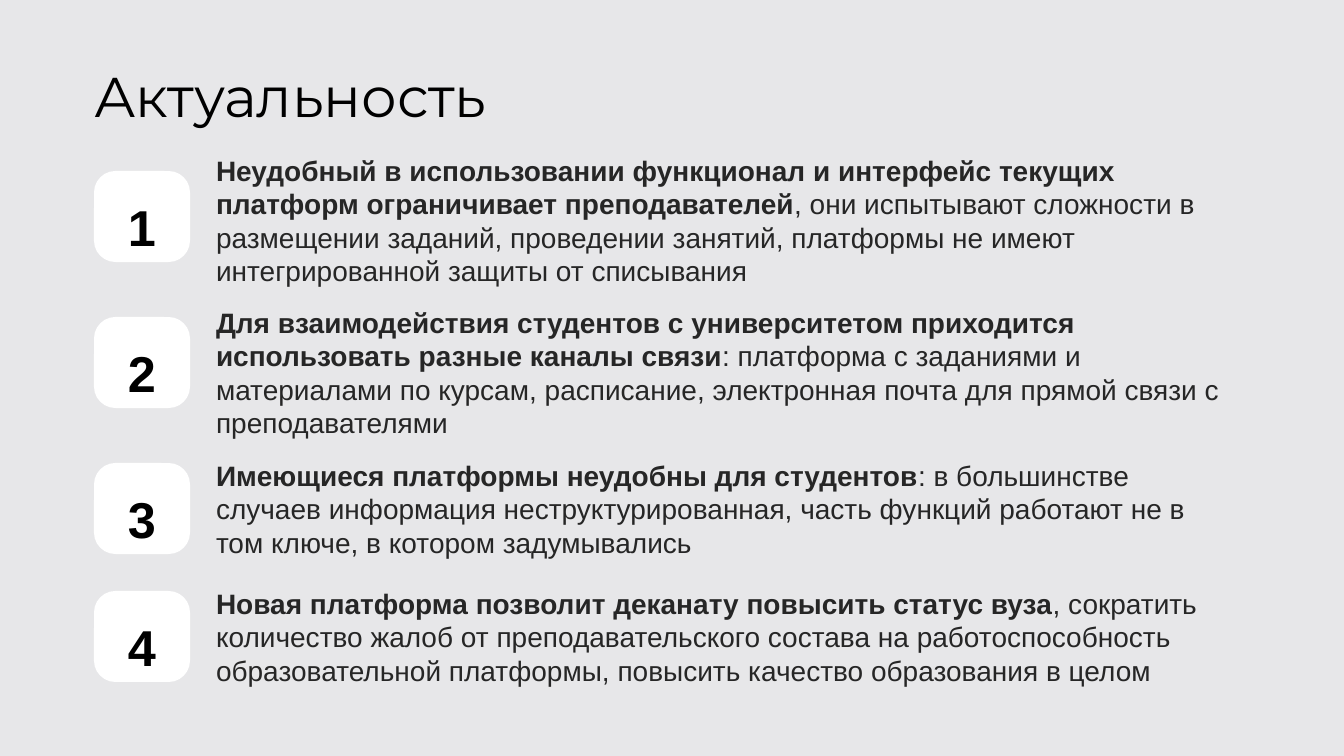
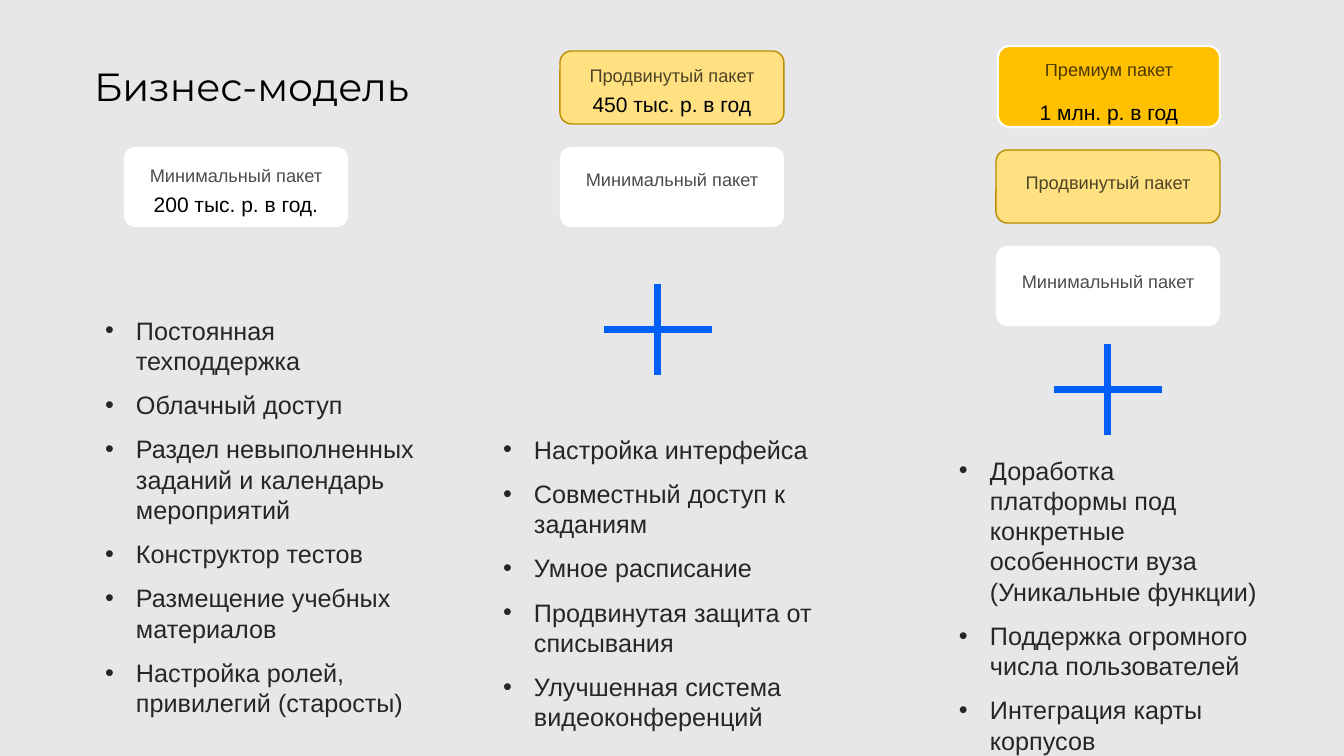
import pptx
import pptx.util
import pptx.dml.color
import pptx.enum.shapes
import pptx.enum.text
import pptx.oxml.ns
import lxml.etree

BACKGROUND, WHITE, BLACK, TEXT = "E7E7E9", "FFFFFF", "000000", "262626"
PALE, PALE_EDGE, GOLD, BLUE = "FFE181", "BA8C00", "FFC000", "005FF9"
BODY_FONT, TITLE_FONT = "Arial", "Montserrat"
COMPARISON_LAYOUT = 4

REASONS = [
    (171, 153, 1008, "Неудобный в использовании функционал и интерфейс текущих платформ ограничивает преподавателей",
     ", они испытывают сложности в размещении заданий, проведении занятий, платформы не имеют интегрированной защиты от списывания"),
    (317, 305, 1041, "Для взаимодействия студентов с университетом приходится использовать разные каналы связи",
     ": платформа с заданиями и материалами по курсам, расписание, электронная почта для прямой связи с преподавателями"),
    (463, 458, 1008, "Имеющиеся платформы неудобны для студентов",
     ": в большинстве случаев информация неструктурированная, часть функций работают не в том ключе, в котором задумывались"),
    (591, 586, 1008, "Новая платформа позволит деканату повысить статус вуза",
     ", сократить количество жалоб от преподавательского состава на работоспособность образовательной платформы, повысить качество образования в целом"),
]

MINIMAL, ADVANCED, PREMIUM = "Минимальный пакет", "Продвинутый пакет", "Премиум пакет"
CARD_STYLES = {
    MINIMAL: (224, 80, 0.143, WHITE, None, 0),
    ADVANCED: (224, 73, 0.158, PALE, PALE_EDGE, 1),
    PREMIUM: (222, 81, 0.144, GOLD, WHITE, 1.5),
}
CARDS = [
    (MINIMAL, 124, 147, 10, "200 тыс. р. в год.", 0),
    (ADVANCED, 560, 51, 6, "450 тыс. р. в год", 0),
    (MINIMAL, 560, 147, 14, None, 0),
    (PREMIUM, 998, 46, 5, "1 млн. р. в год", 10),
    (ADVANCED, 996, 150, 14, None, 0),
    (MINIMAL, 996, 246, 17, None, 0),
]
FEATURES = [
    (105, 315, 326, ["Постоянная техподдержка", "Облачный доступ",
                     "Раздел невыполненных заданий и календарь мероприятий",
                     "Конструктор тестов", "Размещение учебных материалов",
                     "Настройка ролей, привилегий (старосты)"]),
    (503, 434, 310, ["Настройка интерфейса", "Совместный доступ к заданиям",
                     "Умное расписание", "Продвинутая защита от списывания",
                     "Улучшенная система видеоконференций"]),
    (959, 455, 299, ["Доработка платформы под конкретные особенности вуза (Уникальные функции)",
                     "Поддержка огромного числа пользователей",
                     "Интеграция карты корпусов"]),
]
PLUS_CENTERS = [(658, 330), (1108, 390)]
PLUS_WIDTH, PLUS_HEIGHT = 108, 91


def px(pixels):
    return round(pixels * 914400 / 100.8)


def rgb(value):
    return pptx.dml.color.RGBColor.from_string(value)


def place(shape, left, top, width, height):
    shape.left, shape.top, shape.width, shape.height = map(px, (left, top, width, height))


def prepare_frame(shape, anchor="TOP", margin_top=0):
    frame = shape.text_frame
    frame.word_wrap = True
    frame.auto_size = pptx.enum.text.MSO_AUTO_SIZE.NONE
    frame.vertical_anchor = getattr(pptx.enum.text.MSO_ANCHOR, anchor)
    frame.margin_left = frame.margin_right = frame.margin_bottom = 0
    frame.margin_top = px(margin_top)
    return frame


def style(paragraph, size, color, font=BODY_FONT, bold=False, align="LEFT", spacing=1.2, before=0):
    paragraph.alignment = getattr(pptx.enum.text.PP_ALIGN, align)
    paragraph.line_spacing = spacing
    paragraph.space_before = pptx.util.Pt(before)
    paragraph.font.name = font
    paragraph.font.size = pptx.util.Pt(size)
    paragraph.font.bold = bold
    paragraph.font.color.rgb = rgb(color)


def set_bullet(paragraph, character=None, indent=0):
    properties = paragraph._p.get_or_add_pPr()
    properties.set("marL", str(px(indent)))
    properties.set("indent", str(px(-indent)))
    tag = "a:buChar" if character else "a:buNone"
    bullet = lxml.etree.SubElement(properties, pptx.oxml.ns.qn(tag))
    if character:
        bullet.set("char", character)


def add_titled_slide(title, size):
    slide = presentation.slides.add_slide(presentation.slide_layouts[COMPARISON_LAYOUT])
    place(slide.shapes.title, 94, 62, 589, 79)
    paragraph = prepare_frame(slide.shapes.title).paragraphs[0]
    paragraph.text = title
    style(paragraph, size, BLACK, TITLE_FONT, spacing=1.0)
    bodies = [shape for shape in slide.placeholders if shape.placeholder_format.idx > 0]
    return slide, bodies


def add_tile(slide, left, top, width, height, radius, fill, edge=None, edge_width=0):
    tile = slide.shapes.add_shape(pptx.enum.shapes.MSO_SHAPE.ROUNDED_RECTANGLE,
                                  *map(px, (left, top, width, height)))
    tile.adjustments[0] = radius
    tile.shadow.inherit = False
    tile.fill.solid()
    tile.fill.fore_color.rgb = rgb(fill)
    if edge:
        tile.line.color.rgb = rgb(edge)
        tile.line.width = pptx.util.Pt(edge_width)
    else:
        tile.line.fill.background()
    return tile


def add_card(slide, name, left, top, inset, price, gap):
    width, height, *look = CARD_STYLES[name]
    frame = prepare_frame(add_tile(slide, left, top, width, height, *look), margin_top=inset)
    label = frame.paragraphs[0]
    label.text = name
    style(label, 13, BLACK, align="CENTER")
    for color in label._p.iter(pptx.oxml.ns.qn("a:srgbClr")):
        lxml.etree.SubElement(color, pptx.oxml.ns.qn("a:alpha")).set("val", "70000")
    if price:
        paragraph = frame.add_paragraph()
        paragraph.text = price
        style(paragraph, 15, BLACK, align="CENTER", before=gap)


def add_bar(slide, *ends):
    bar = slide.shapes.add_connector(pptx.enum.shapes.MSO_CONNECTOR.STRAIGHT, *map(px, ends))
    bar.line.color.rgb = rgb(BLUE)
    bar.line.width = pptx.util.Pt(5)
    lxml.etree.SubElement(bar._element.spPr, pptx.oxml.ns.qn("a:effectLst"))


presentation = pptx.Presentation()
presentation.slide_width, presentation.slide_height = px(1344), px(756)
background = presentation.slide_master.background.fill
background.solid()
background.fore_color.rgb = rgb(BACKGROUND)

slide, bodies = add_titled_slide("Актуальность", 40)
for number, (body, reason) in enumerate(zip(bodies, REASONS), 1):
    tile_top, text_top, width, claim, detail = reason
    tile = add_tile(slide, 94, tile_top, 96, 91, 0.235, WHITE)
    paragraph = prepare_frame(tile, "MIDDLE", 8).paragraphs[0]
    paragraph.text = str(number)
    style(paragraph, 36, BLACK, bold=True, align="CENTER")
    place(body, 216, text_top, width, 128)
    paragraph = prepare_frame(body).paragraphs[0]
    set_bullet(paragraph)
    style(paragraph, 20, TEXT, spacing=pptx.util.Pt(24))
    for text, bold in ((claim, True), (detail, False)):
        run = paragraph.add_run()
        run.text = text
        run.font.bold = bold

slide, bodies = add_titled_slide("Бизнес-модель", 28)
for card in CARDS:
    add_card(slide, *card)
for body, (left, top, width, features) in zip(bodies, FEATURES):
    place(body, left, top, width, 756 - top)
    frame = prepare_frame(body)
    for index, feature in enumerate(features):
        paragraph = frame.add_paragraph() if index else frame.paragraphs[0]
        paragraph.text = feature
        set_bullet(paragraph, "•", 31)
        style(paragraph, 18, TEXT, spacing=pptx.util.Pt(21.6), before=10 if index else 0)
for body in bodies[len(FEATURES):]:
    body._element.getparent().remove(body._element)
for x, y in PLUS_CENTERS:
    add_bar(slide, x, y - PLUS_HEIGHT / 2, x, y + PLUS_HEIGHT / 2)
    add_bar(slide, x - PLUS_WIDTH / 2, y, x + PLUS_WIDTH / 2, y)

presentation.save("out.pptx")
